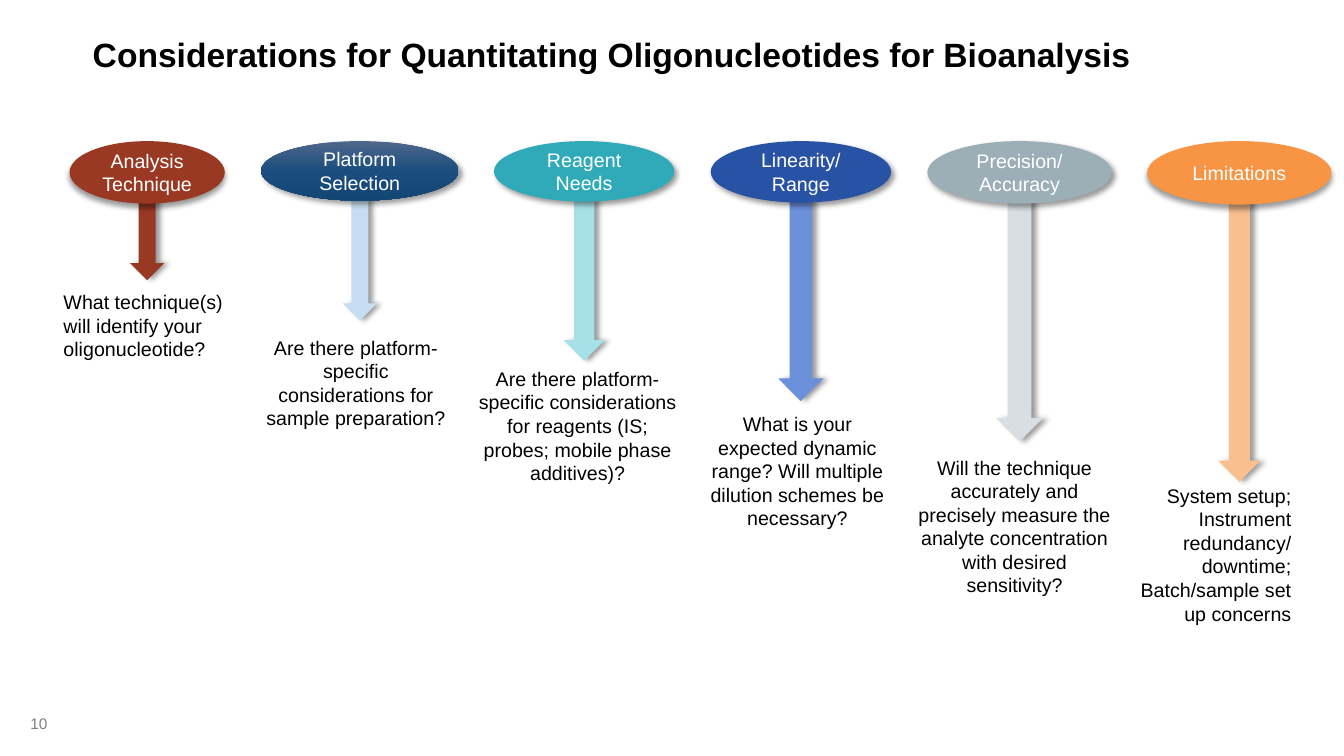
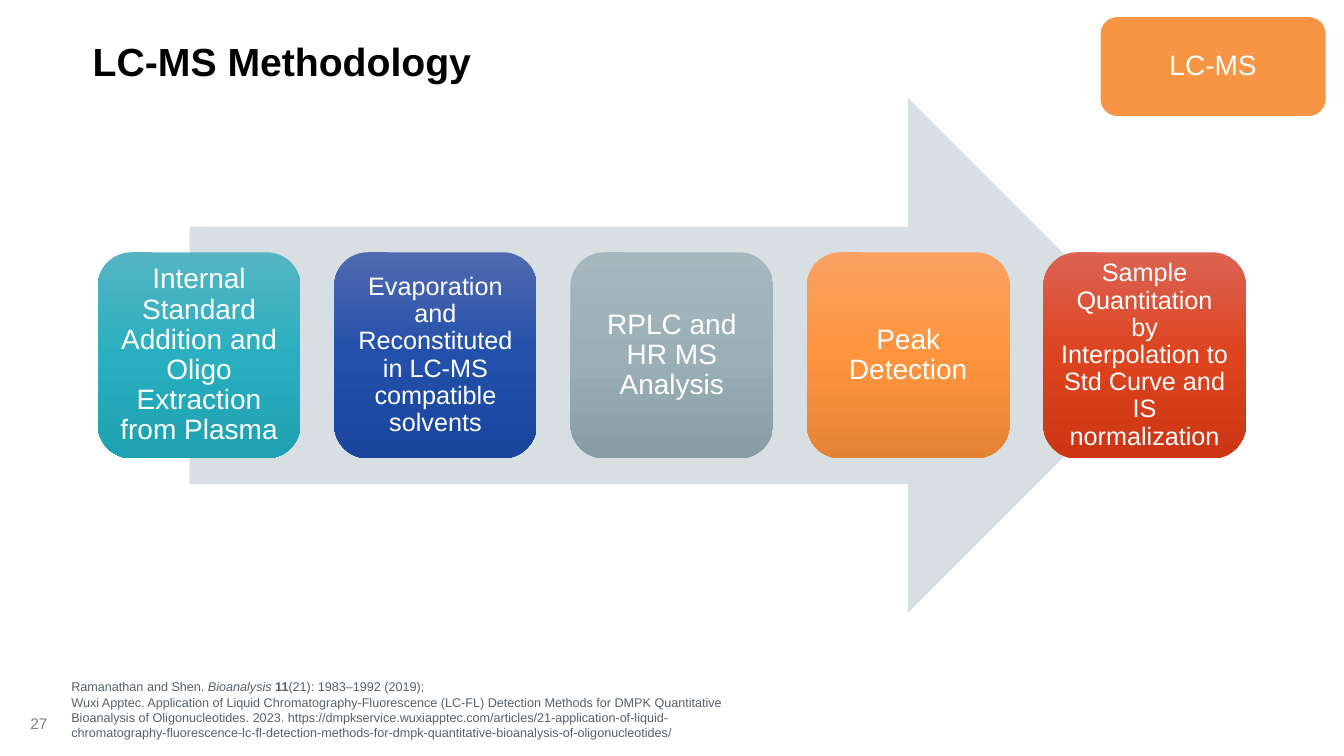
import copy
import dataclasses

import lxml.etree
import pptx
import pptx.dml.color
import pptx.enum.shapes
import pptx.enum.text
import pptx.oxml.ns
import pptx.util

RGB = pptx.dml.color.RGBColor
KIND = pptx.enum.shapes.MSO_SHAPE
ALIGN = pptx.enum.text.PP_ALIGN
ANCHOR = pptx.enum.text.MSO_ANCHOR
qn = pptx.oxml.ns.qn

CELL = pptx.util.Inches(0.1)
COLS, ROWS = 133.33, 75
FONT = "Arial"

BLACK = RGB(0x00, 0x00, 0x00)
WHITE = RGB(0xFF, 0xFF, 0xFF)
GRAY = RGB(0x80, 0x80, 0x80)
SLATE = RGB(0x58, 0x60, 0x69)
RUST = RGB(0x99, 0x39, 0x24)
SKY = RGB(0xC6, 0xDC, 0xF0)
TEAL = RGB(0x30, 0xAA, 0xB9)
AQUA = RGB(0xA7, 0xE1, 0xE8)
BLUE = RGB(0x28, 0x52, 0xA4)
AZURE = RGB(0x6B, 0x91, 0xDB)
STEEL = RGB(0x9C, 0xAE, 0xB6)
MIST = RGB(0xD7, 0xDF, 0xE2)
ORANGE = RGB(0xF7, 0x95, 0x45)
PEACH = RGB(0xFA, 0xBF, 0x8F)
NAVIES = (RGB(0x4F, 0x67, 0x8A), RGB(0x1B, 0x4E, 0x7E), RGB(0x14, 0x46, 0x74))
TEALS = (RGB(0x55, 0xB5, 0xC3), RGB(0x29, 0xAF, 0xC0), RGB(0x1E, 0xA1, 0xB1))
BLUES = (RGB(0x51, 0x69, 0xB0), RGB(0x22, 0x50, 0xAA), RGB(0x19, 0x45, 0x9D))
GRAYS = (RGB(0xA7, 0xB7, 0xBE), RGB(0x9B, 0xAF, 0xB7), RGB(0x88, 0x9C, 0xA4))
AMBERS = (RGB(0xFA, 0xA1, 0x62), RGB(0xFF, 0x94, 0x3D), RGB(0xE5, 0x83, 0x34))
REDS = (RGB(0xDC, 0x63, 0x52), RGB(0xDD, 0x43, 0x1F), RGB(0xCC, 0x36, 0x14))


@dataclasses.dataclass
class Topic:
    """One oval with its arrow and question, in grid cells."""
    label: str
    oval: tuple
    fill: object
    angle: int
    stem: float
    tint: object
    note: tuple
    lines: tuple
    align: object = ALIGN.CENTER


TOPICS = (
    Topic("Analysis Technique", (6.9, 15.4, 6.2), RUST, 90, 3.4, RUST,
          (6.3, 28.3, 17.1, 9.5),
          ("What technique(s) will identify your oligonucleotide?",), ALIGN.LEFT),
    Topic("Platform Selection", (25.9, 19.6, 5.9), NAVIES, 45, 3.4, SKY,
          (25.7, 32.8, 20.2, 15.8),
          ("Are there platform-specific considerations for sample preparation?",)),
    Topic("Reagent Needs", (49, 17.9, 6), TEAL, 45, 4.1, AQUA,
          (47.1, 35.9, 21.4, 11.8),
          ("Are there platform-specific considerations for reagents "
           "(IS; probes; mobile phase additives)?",)),
    Topic("Linearity/ Range", (70.5, 17.9, 6.1), BLUE, 45, 4.5, AZURE,
          (70, 40.4, 19.2, 15.8),
          ("What is your expected dynamic range? "
           "Will multiple dilution schemes be necessary?",)),
    Topic("Precision/ Accuracy", (92, 18.3, 6.2), STEEL, 45, 4.7, MIST,
          (90.8, 44.7, 20.7, 16.3),
          ("Will the technique accurately and precisely measure the "
           "analyte concentration with desired sensitivity?",)),
    Topic("Limitations", (113.8, 18.3, 6.3), ORANGE, 90, 4.2, PEACH,
          (111.5, 47.5, 17.6, 11.5),
          ("System setup;", "Instrument redundancy/ downtime;",
           "Batch/sample set up concerns"), ALIGN.RIGHT),
)

STEPS = (
    ("Internal Standard Addition and Oligo Extraction from Plasma", 20, TEALS),
    ("Evaporation and Reconstituted in LC-MS compatible solvents", 18, BLUES),
    ("RPLC and HR MS Analysis", 20, GRAYS),
    ("Peak Detection", 20, AMBERS),
    ("Sample Quantitation by Interpolation to Std Curve and IS normalization", 18, REDS),
)

SOURCES = (
    (("Ramanathan and Shen. ", ""), ("Bioanalysis ", "i"), ("11", "b"),
     ("(21): 1983–1992 (2019);", "")),
    (("Wuxi Apptec. Application of Liquid Chromatography-Fluorescence (LC-FL) "
      "Detection Methods for DMPK Quantitative Bioanalysis of Oligonucleotides. 2023. "
      "https://dmpkservice.wuxiapptec.com/articles/21-application-of-liquid-"
      "chromatography-fluorescence-lc-fl-detection-methods-for-dmpk-quantitative-"
      "bioanalysis-of-oligonucleotides/", ""),),
)


def span(box):
    """Turn a box in grid cells into slide lengths."""
    return [round(side * CELL) for side in box]


def write(shape, lines, size, color, align=ALIGN.LEFT, anchor=ANCHOR.TOP,
          pads=(1, 0.5, 1, 0.5), lead=None):
    """Fill a shape with paragraphs made of (text, style) runs."""
    frame = shape.text_frame
    frame.word_wrap = True
    frame.vertical_anchor = anchor
    (frame.margin_left, frame.margin_top,
     frame.margin_right, frame.margin_bottom) = span(pads)
    for n, line in enumerate(lines):
        para = frame.add_paragraph() if n else frame.paragraphs[0]
        para.alignment = align
        if lead:
            para.line_spacing = lead
        for text, style in line:
            run = para.add_run()
            run.text = text
            font = run.font
            font.name, font.size = FONT, pptx.util.Pt(size)
            font.color.rgb = color
            font.bold, font.italic = "b" in style, "i" in style


def label(slide, box, *args, **opts):
    """Add a text box."""
    write(slide.shapes.add_textbox(*span(box)), *args, **opts)


def blend(shape, shades):
    """Fill a shape from top to bottom with three shades."""
    shape.fill.gradient()
    shape.fill.gradient_angle = 270
    first = shape._element.spPr.find(".//" + qn("a:gs"))
    mid = copy.deepcopy(first)
    mid.set("pos", "50000")
    first.addnext(mid)
    for stop, shade in zip(shape.fill.gradient_stops, shades):
        stop.color.rgb = shade


def draw(slide, kind, box, fill, angle=None):
    """Add a plain shape, with a soft shadow if an angle is given."""
    shape = slide.shapes.add_shape(kind, *span(box))
    if isinstance(fill, RGB):
        shape.fill.solid()
        shape.fill.fore_color.rgb = fill
    else:
        blend(shape, fill)
    shape.line.fill.background()
    shape.shadow.inherit = False
    if angle is not None:
        glow = lxml.etree.SubElement(
            shape._element.spPr.find(qn("a:effectLst")), qn("a:outerShdw"),
            blurRad=str(int(pptx.util.Pt(4))), dist=str(int(pptx.util.Pt(3))),
            dir=str(angle * 60000), algn="ctr", rotWithShape="0")
        tone = lxml.etree.SubElement(glow, qn("a:srgbClr"), val=str(BLACK))
        lxml.etree.SubElement(tone, qn("a:alpha"), val="40000")
    return shape


def start(deck, title, size, top, number):
    """Add a blank slide with its title and number."""
    slide = deck.slides.add_slide(deck.slide_layouts[6])
    label(slide, (0.7, 69.5, 5, 4.5), [[(number, "")]], 11, GRAY,
          ALIGN.RIGHT, ANCHOR.MIDDLE)
    label(slide, (9.2, top, 120.5, 7.4), [[(title, "b")]], size, BLACK,
          anchor=ANCHOR.MIDDLE, pads=(0, 0.5, 0, 0.5))
    return slide


def pillar(slide, topic, top, drop):
    """Draw an oval at the given top, an arrow of length drop and a question."""
    left, width, height = topic.oval
    stem = left + (width - topic.stem) / 2
    draw(slide, KIND.DOWN_ARROW, (stem, top + 5.8, topic.stem, drop), topic.tint, 0)
    oval = draw(slide, KIND.OVAL, (left, top, width, height), topic.fill, topic.angle)
    write(oval, [[(topic.label, "")]], 14, WHITE, ALIGN.CENTER, ANCHOR.MIDDLE)
    label(slide, topic.note, [[(line, "")] for line in topic.lines], 14, BLACK,
          topic.align, pads=(0, 0.5, 1, 0.5))


def card(slide, box, text, size, fill, pad):
    """Draw a rounded card with centred text."""
    shape = draw(slide, KIND.ROUNDED_RECTANGLE, box, fill)
    write(shape, [[(text, "")]], size, WHITE, ALIGN.CENTER, ANCHOR.MIDDLE,
          (pad,) * 4, 0.9)


def flow(slide, box):
    """Draw the wide arrow and its row of evenly spaced cards in a box."""
    left, top, width, height = box
    draw(slide, KIND.RIGHT_ARROW,
         (left + 0.08 * width, top, 0.85 * width, height), MIST)
    count = len(STEPS)
    wide = width / (count + (count - 1) / 6)
    for n, (text, size, shades) in enumerate(STEPS):
        spot = (left + n * wide * 7 / 6, top + 0.3 * height, wide, 0.4 * height)
        card(slide, spot, text, size, shades, size / 25)


def survey(deck):
    """Build the slide of topics with arrows of growing length."""
    slide = start(deck, "Considerations for Quantitating Oligonucleotides for Bioanalysis",
                  24, 1.7, "10")
    for n, topic in enumerate(TOPICS):
        pillar(slide, topic, 14, 4 * (n + 2))


def method(deck):
    """Build the slide of method steps."""
    slide = start(deck, "LC-MS Methodology", 28, 2.3, "27")
    flow(slide, (9.7, 9.7, 113.9, 51.1))
    card(slide, (109.2, 1.7, 22.3, 9.8), "LC-MS", 20, ORANGE, 0.5)
    label(slide, (6.1, 66.9, 66.7, 7.1), SOURCES, 9, SLATE)


def main():
    """Build and save the deck."""
    deck = pptx.Presentation()
    deck.slide_width, deck.slide_height = span((COLS, ROWS))
    survey(deck)
    method(deck)
    deck.save("out.pptx")


if __name__ == "__main__":
    main()
